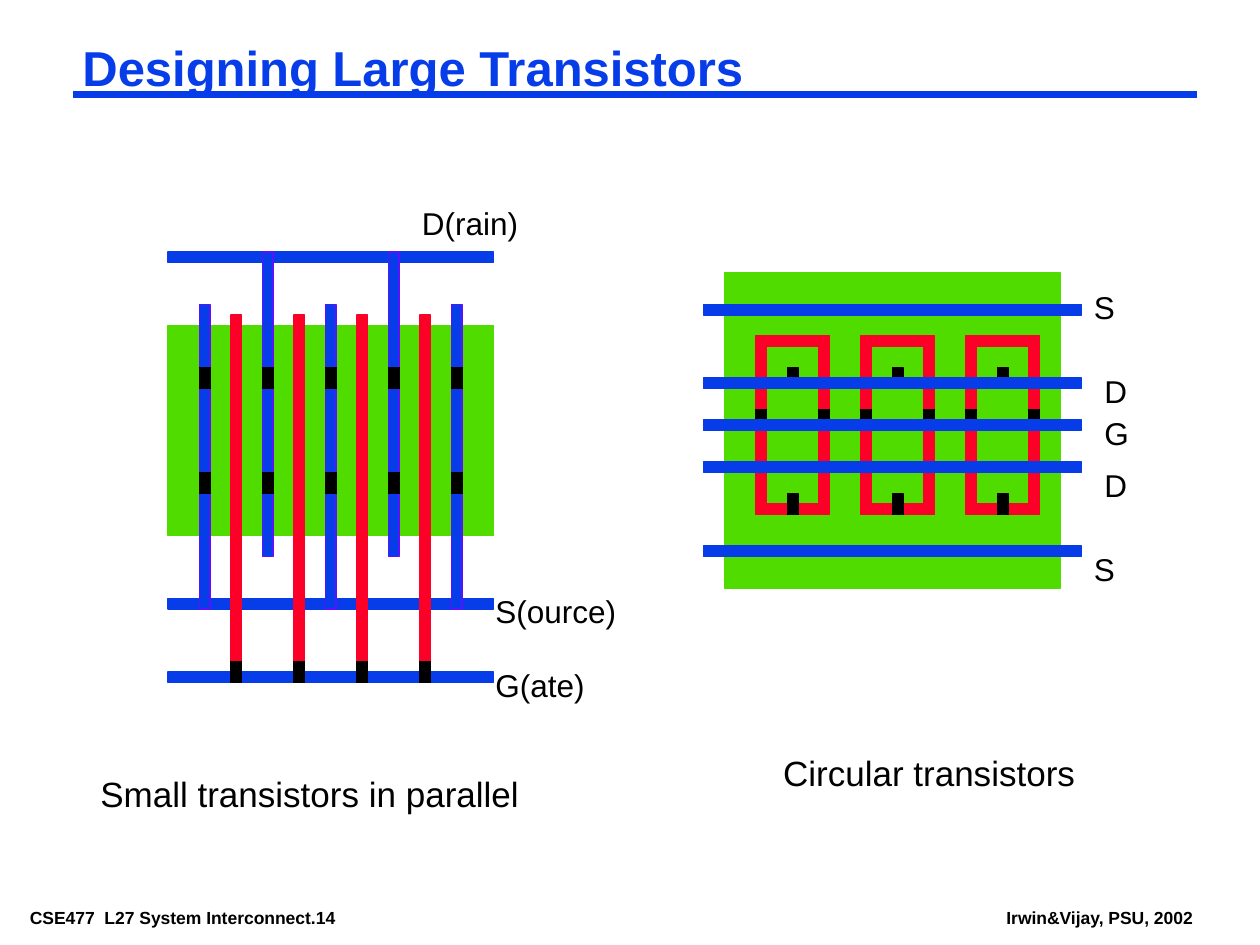
from dataclasses import dataclass

from lxml.etree import SubElement
from pptx import Presentation
from pptx.dml.color import RGBColor
from pptx.enum.shapes import MSO_CONNECTOR, MSO_SHAPE
from pptx.enum.text import MSO_ANCHOR, MSO_AUTO_SIZE, PP_ALIGN
from pptx.oxml.ns import qn
from pptx.util import Cm, Pt


@dataclass(frozen=True)
class Theme:
    font: str = "Arial"
    metal: RGBColor = RGBColor(0x06, 0x3D, 0xE8)
    metal_edge: RGBColor = RGBColor(0x5A, 0x11, 0xFD)
    poly: RGBColor = RGBColor(0xFC, 0x01, 0x28)
    diffusion: RGBColor = RGBColor(0x51, 0xDC, 0x00)
    black: RGBColor = RGBColor(0, 0, 0)
    title: int = 28
    caption: int = 20
    label: int = 18
    footer: int = 10


THEME = Theme()
GRID = 2.54 / 12  # layout grid step in cm
TIGHT = (0.18, 0.08)  # horizontal and vertical text insets in cm
LOOSE = (0.25, 0.13)


def grid(n):
    return Cm(n * GRID)


def add_rect(s, x, y, w, h, fill, edge=None):
    sp = s.shapes.add_shape(MSO_SHAPE.RECTANGLE, grid(x), grid(y), grid(w), grid(h))
    sp.shadow.inherit = False
    sp.fill.solid()
    sp.fill.fore_color.rgb = fill
    sp.line.color.rgb = fill if edge is None else edge
    sp.line.width = Pt(1)


def add_contact(s, x, y):
    add_rect(s, x, y, 1, 2, THEME.black)


def write_text(tf, text, size, color=THEME.black, bold=False,
               spacing=1.0, align=PP_ALIGN.LEFT, insets=LOOSE):
    tf.word_wrap = True
    tf.auto_size = MSO_AUTO_SIZE.NONE
    tf.vertical_anchor = MSO_ANCHOR.TOP
    tf.margin_left = tf.margin_right = Cm(insets[0])
    tf.margin_top = tf.margin_bottom = Cm(insets[1])
    p = tf.paragraphs[0]
    p.alignment = align
    p.line_spacing = spacing
    r = p.add_run()
    r.text = text
    r.font.name = THEME.font
    r.font.size = Pt(size)
    r.font.bold = bold
    r.font.color.rgb = color


def add_text(s, x, y, w, h, text, size, **style):
    sp = s.shapes.add_textbox(grid(x), grid(y), grid(w), grid(h))
    write_text(sp.text_frame, text, size, **style)


def add_label(s, x, y, w, text):
    add_text(s, x, y, w, 6.6, text, THEME.label, spacing=1.5)


def add_caption(s, x, y, text):
    add_text(s, x, y, 45, 7.2, text, THEME.caption, spacing=1.5, align=PP_ALIGN.CENTER)


def add_header(s):
    title = s.shapes.title
    title.left, title.top, title.width, title.height = grid(7), grid(4), grid(107), grid(5.5)
    write_text(title.text_frame, "Designing Large Transistors", THEME.title,
               color=THEME.metal, bold=True, spacing=0.87, insets=TIGHT)
    rule = s.shapes.add_connector(MSO_CONNECTOR.STRAIGHT, grid(7), grid(9), grid(114), grid(9))
    rule.line.color.rgb = THEME.metal
    rule.line.width = Pt(4.5)
    SubElement(rule._element.spPr, qn("a:effectLst"))


def add_footer(s):
    for x, w, text in ((2, 37, "CSE477  L27 System Interconnect.14"),
                       (95, 19.6, "Irwin&Vijay, PSU, 2002")):
        add_text(s, x, 86, w, 2.6, text, THEME.footer, bold=True, insets=TIGHT)


def add_parallel_transistors(s):
    add_rect(s, 16, 31, 31, 20, THEME.diffusion)
    for y in (24, 57, 64):  # drain, source and gate buses
        add_rect(s, 16, y, 31, 1, THEME.metal)

    # Source and drain fingers alternate, with gates between them
    fingers = range(19, 44, 6)
    gates = range(22, 41, 6)
    for i, x in enumerate(fingers):
        add_rect(s, x, 24 if i % 2 else 29, 1, 29, THEME.metal, THEME.metal_edge)
    for x in gates:
        add_rect(s, x, 30, 1, 35, THEME.poly)
        add_contact(s, x, 63)
    for x in fingers:
        for y in (35, 45):
            add_contact(s, x, y)

    add_label(s, 39, 17, 14, "D(rain)")
    add_label(s, 46, 54, 15, "S(ource)")
    add_label(s, 46, 61, 13, "G(ate)")
    add_caption(s, 7, 71, "Small transistors in parallel")


def add_gate_ring(s, x):
    for side in (x, x + 6):
        add_rect(s, side, 32, 1, 17, THEME.poly)
        add_contact(s, side, 39)
    for y in (32, 48):
        add_rect(s, x, y, 7, 1, THEME.poly)
    for y in (35, 47):  # drain contacts
        add_contact(s, x + 3, y)


def add_circular_transistors(s):
    add_rect(s, 69, 26, 32, 30, THEME.diffusion)
    for x in (72, 82, 92):
        add_gate_ring(s, x)

    # Metal rails cross over the rings
    for rail_y, label_x, label_y, name in ((29, 103, 25, "S"), (36, 104, 33, "D"),
                                           (40, 104, 37, "G"), (44, 104, 42, "D"),
                                           (52, 103, 50, "S")):
        add_rect(s, 67, rail_y, 36, 1, THEME.metal)
        add_label(s, label_x, label_y, 6, name)
    add_caption(s, 66, 69, "Circular transistors")


def main():
    prs = Presentation()
    prs.slide_width, prs.slide_height = Cm(25.4), Cm(19.05)
    s = prs.slides.add_slide(prs.slide_layouts[5])
    add_header(s)
    add_footer(s)
    add_parallel_transistors(s)
    add_circular_transistors(s)
    prs.save("out.pptx")


if __name__ == "__main__":
    main()
